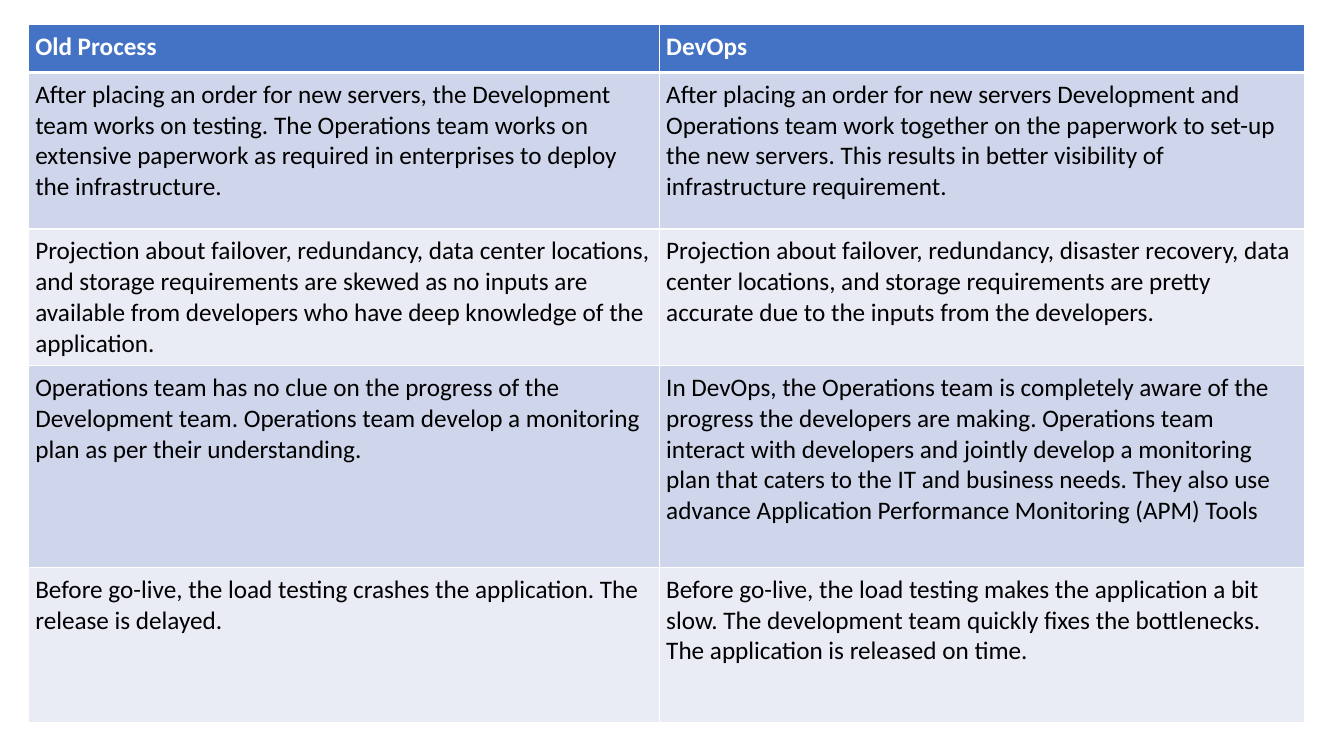
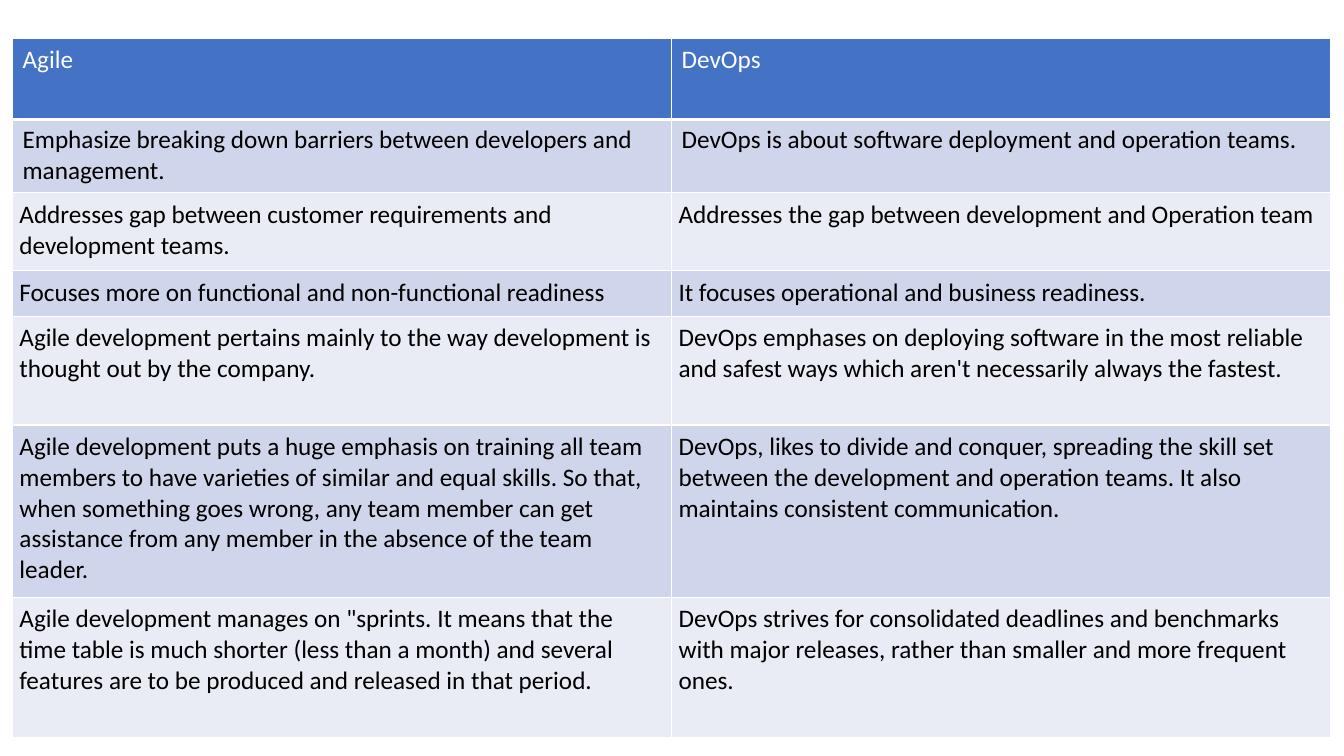
from lxml.etree import SubElement
from pptx import Presentation
from pptx.dml.color import RGBColor as Rgb
from pptx.oxml import parse_xml
from pptx.oxml.ns import nsdecls, qn
from pptx.util import Cm, Pt

FONT = "Calibri"
WHITE, BLACK = "FFFFFF", "000000"
HEAD, BANDS = "4472C4", ("E9EBF5", "CFD5EA")
WIDE, SLIM = (0.25, 0.13), (0.17, 0.17)


def tint(code):
    """Turn a hex string into a colour."""
    return Rgb.from_string(code)


def write(frame, text, size=18, color=BLACK, bold=False):
    """Put formatted text into a text frame."""
    run = frame.paragraphs[0].add_run()
    run.text = text
    font = run.font
    font.name, font.size, font.bold = FONT, Pt(size), bold
    font.color.rgb = tint(color)


def edge(cell, base):
    """Draw white cell borders, with the given width at the bottom."""
    props = cell._tc.get_or_add_tcPr()
    for spot, (side, width) in enumerate(zip("LRTB", (1, 1, 1, base))):
        line = parse_xml(f'<a:ln{side} {nsdecls("a")} w="{Pt(width)}"/>')
        fill = SubElement(line, qn("a:solidFill"))
        SubElement(fill, qn("a:srgbClr"), val=WHITE)
        props.insert(spot, line)


def fill_cell(cell, text, row, pad, bold):
    """Style one cell by its row and write its text."""
    head = row == 0
    across, down = pad
    cell.margin_left = cell.margin_right = Cm(across)
    cell.margin_top = cell.margin_bottom = Cm(down)
    edge(cell, 3 if head else 1)
    cell.fill.solid()
    cell.fill.fore_color.rgb = tint(HEAD if head else BANDS[row % 2])
    write(cell.text_frame, text, color=WHITE if head else BLACK,
          bold=head and bold)


def compare(deck, left, top, cols, rows, wide=0, bold=False):
    """Add a slide with a banded table; the first wide rows have wide margins."""
    slide = deck.slides.add_slide(deck.slide_layouts[6])
    high = sum(height for height, *_ in rows)
    table = slide.shapes.add_table(
        len(rows), len(cols), Cm(left), Cm(top), Cm(sum(cols)), Cm(high)).table
    for col, width in zip(table.columns, cols):
        col.width = Cm(width)
    for row, (height, *texts) in enumerate(rows):
        table.rows[row].height = Cm(height)
        pad = WIDE if row < wide else SLIM
        for col, text in enumerate(texts):
            fill_cell(table.cell(row, col), text, row, pad, bold)


PROCESS = [
    (1.21, "Old Process", "DevOps"),
    (3.94,
     "After placing an order for new servers, the Development team works on "
     "testing. The Operations team works on extensive paperwork as required "
     "in enterprises to deploy the infrastructure.",
     "After placing an order for new servers Development and Operations team "
     "work together on the paperwork to set-up the new servers. This results "
     "in better visibility of infrastructure requirement."),
    (3.45,
     "Projection about failover, redundancy, data center locations, and "
     "storage requirements are skewed as no inputs are available from "
     "developers who have deep knowledge of the application.",
     "Projection about failover, redundancy, disaster recovery, data center "
     "locations, and storage requirements are pretty accurate due to the "
     "inputs from the developers."),
    (5.08,
     "Operations team has no clue on the progress of the Development team. "
     "Operations team develop a monitoring plan as per their understanding.",
     "In DevOps, the Operations team is completely aware of the progress the "
     "developers are making. Operations team interact with developers and "
     "jointly develop a monitoring plan that caters to the IT and business "
     "needs. They also use advance Application Performance Monitoring (APM) "
     "Tools"),
    (3.92,
     "Before go-live, the load testing crashes the application. The release "
     "is delayed.",
     "Before go-live, the load testing makes the application a bit slow. The "
     "development team quickly fixes the bottlenecks. The application is "
     "released on time."),
]

AGILE = [
    (2.03, "Agile", "DevOps"),
    (1.85,
     "Emphasize breaking down barriers between developers and management.",
     "DevOps is about software deployment and operation teams."),
    (1.96,
     "Addresses gap between customer requirements and development teams.",
     "Addresses the gap between development and Operation team"),
    (1.15,
     "Focuses more on functional and non-functional readiness",
     "It focuses operational and business readiness."),
    (2.74,
     "Agile development pertains mainly to the way development is thought "
     "out by the company.",
     "DevOps emphases on deploying software in the most reliable and safest "
     "ways which aren't necessarily always the fastest."),
    (4.34,
     "Agile development puts a huge emphasis on training all team members to "
     "have varieties of similar and equal skills. So that, when something "
     "goes wrong, any team member can get assistance from any member in the "
     "absence of the team leader.",
     "DevOps, likes to divide and conquer, spreading the skill set between "
     "the development and operation teams. It also maintains consistent "
     "communication."),
    (3.54,
     'Agile development manages on "sprints. It means that the time table is '
     "much shorter (less than a month) and several features are to be "
     "produced and released in that period.",
     "DevOps strives for consolidated deadlines and benchmarks with major "
     "releases, rather than smaller and more frequent ones."),
]

deck = Presentation()
deck.slide_width, deck.slide_height = Cm(33.87), Cm(19.05)
compare(deck, 0.72, 0.62, (15.9, 16.26), PROCESS, bold=True)
compare(deck, 0.32, 0.98, (16.61, 16.61), AGILE, wide=2)
deck.save("out.pptx")
